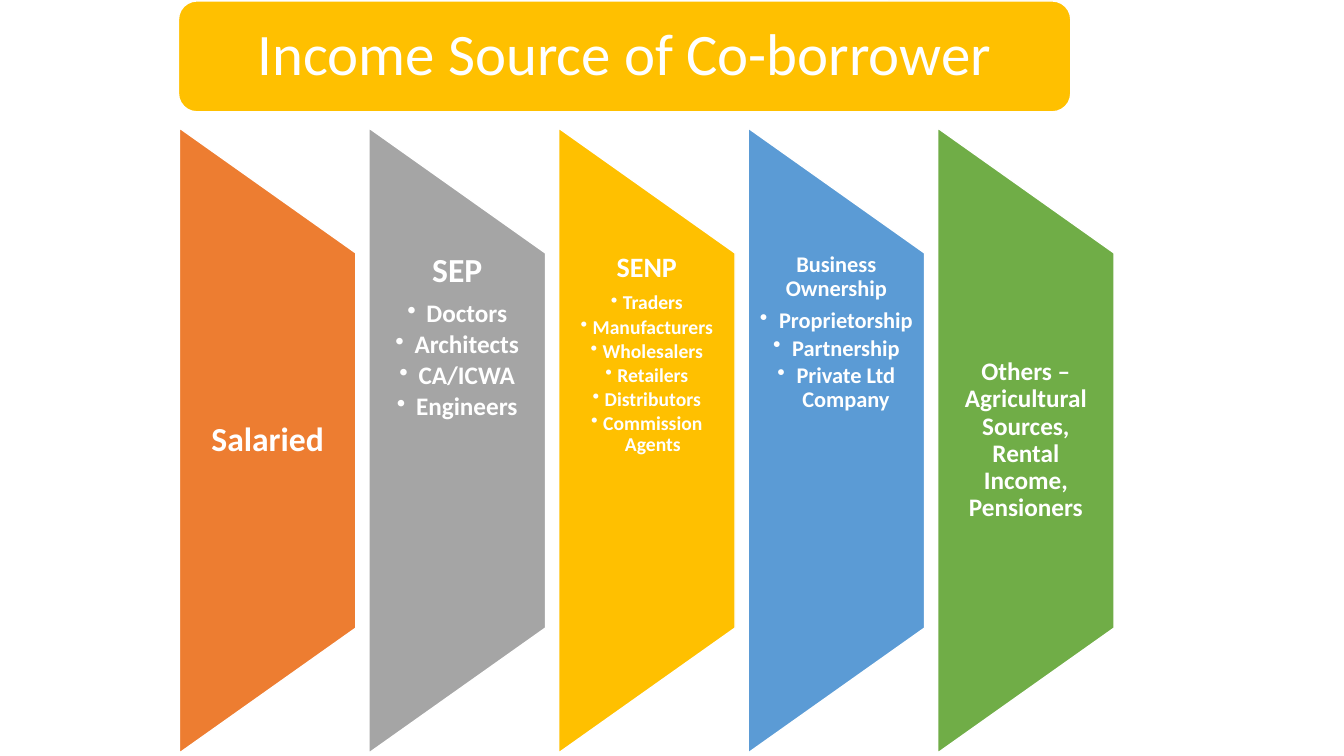
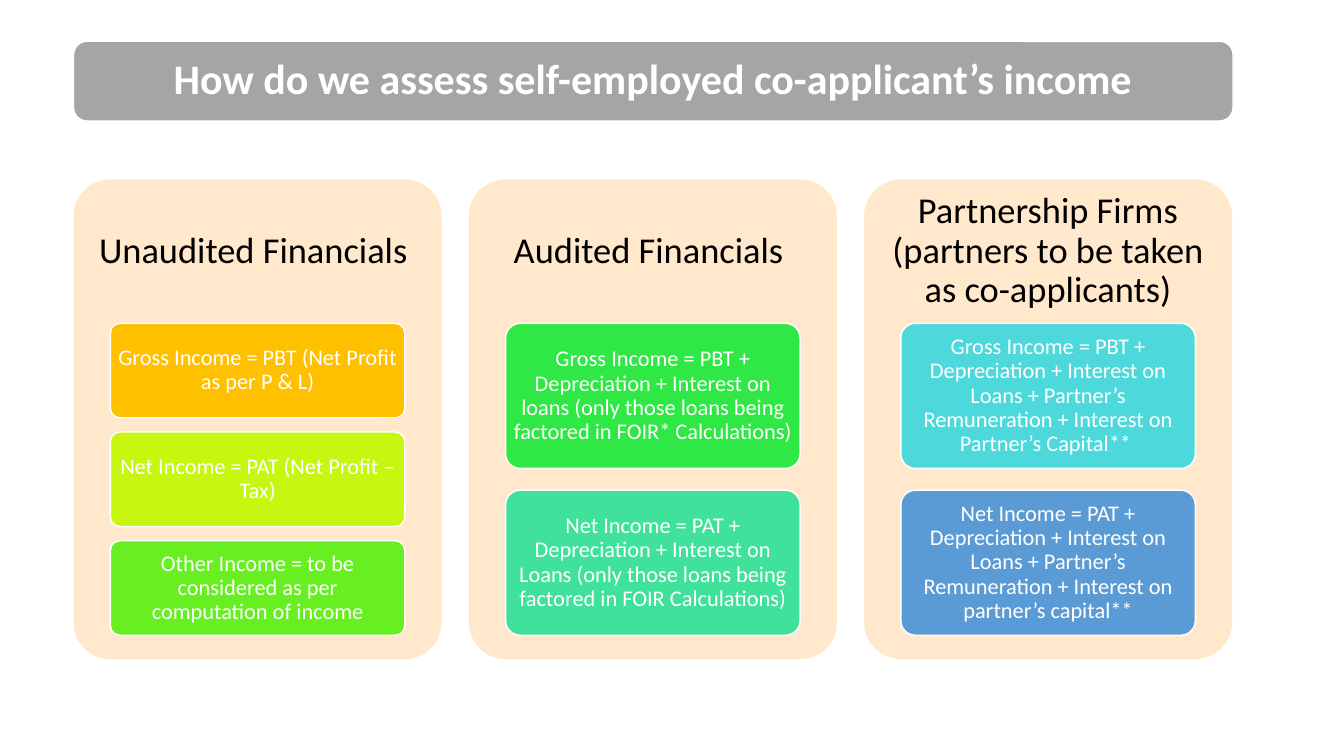
"""Builds two slides on co-borrower income: its sources and its assessment."""
from pptx import Presentation
from pptx.dml.color import RGBColor
from pptx.enum.shapes import MSO_SHAPE as SHAPE
from pptx.enum.text import MSO_ANCHOR as ANCHOR, PP_ALIGN as ALIGN
from pptx.oxml.ns import qn
from pptx.util import Inches, Pt
from lxml.etree import SubElement

FONT = "Calibri"
WHITE = RGBColor(0xFF, 0xFF, 0xFF)
BLACK = RGBColor(0x00, 0x00, 0x00)
ORANGE = RGBColor(0xED, 0x7D, 0x31)
GRAY = RGBColor(0xA5, 0xA5, 0xA5)
GOLD = RGBColor(0xFF, 0xC0, 0x00)
BLUE = RGBColor(0x5B, 0x9B, 0xD5)
GREEN = RGBColor(0x70, 0xAD, 0x47)
CREAM = RGBColor(0xFF, 0xE8, 0xCC)
LIME = RGBColor(0xC7, 0xF7, 0x11)
LEAF = RGBColor(0x67, 0xEF, 0x21)
EMERALD = RGBColor(0x30, 0xE8, 0x45)
MINT = RGBColor(0x3F, 0xE1, 0x9B)
AQUA = RGBColor(0x4D, 0xD8, 0xDB)


def draw(slide, preset, left, top, width, height, fill, outlined=True, rounding=None):
    shape = slide.shapes.add_shape(
        preset, Inches(left), Inches(top), Inches(width), Inches(height))
    shape.shadow.inherit = False
    shape.fill.solid()
    shape.fill.fore_color.rgb = fill
    if outlined:
        shape.line.color.rgb = WHITE
        shape.line.width = Pt(1)
    else:
        shape.line.fill.background()
    if rounding:
        shape.adjustments[0] = rounding
    return shape


def write(shape, text, size, color=WHITE, bold=False, anchor=ANCHOR.MIDDLE,
          margins=(0, 0, 0, 0), items=(), item_size=None, indent=0.19):
    frame = shape.text_frame
    frame.word_wrap = True
    frame.vertical_anchor = anchor
    (frame.margin_left, frame.margin_top,
     frame.margin_right, frame.margin_bottom) = map(Inches, margins)
    for index, line in enumerate([text, *items]):
        paragraph = frame.add_paragraph() if index else frame.paragraphs[0]
        points = item_size if index else size
        if index:
            paragraph.level = 1
            properties = paragraph._p.get_or_add_pPr()
            properties.set("marL", str(Inches(indent)))
            properties.set("indent", str(-Inches(indent)))
            SubElement(properties, qn("a:buChar")).set("char", "•")
        paragraph.alignment = ALIGN.CENTER
        paragraph.line_spacing = 0.9
        paragraph.space_after = Pt(points * (0.15 if index else 0.35))
        run = paragraph.add_run()
        run.text = line
        run.font.name = FONT
        run.font.size = Pt(points)
        run.font.bold = bold
        run.font.color.rgb = color


deck = Presentation()
deck.slide_width, deck.slide_height = Inches(13.33), Inches(7.5)
blank = deck.slide_layouts[6]

sources = deck.slides.add_slide(blank)
banner = draw(sources, SHAPE.ROUNDED_RECTANGLE, 1.77, 0.01, 8.85, 1.1, GOLD)
write(banner, "Income Source of Co-borrower", 42, margins=(0.17,) * 4)

BLADE_LEFT, BLADE_TOP, BLADE_WIDTH, BLADE_HEIGHT = 1.78, 1.27, 1.75, 6.2
BLADE_PITCH = 1.88
blades = [
    (ORANGE, "Salaried", 24, 0.17, (), None, 0.19),
    (GRAY, "SEP", 24, 0.17,
     ("Doctors", "Architects", "CA/ICWA", "Engineers"), 18, 0.19),
    (GOLD, "SENP", 20, 0.14,
     ("Traders", "Manufacturers", "Wholesalers", "Retailers", "Distributors",
      "Commission Agents"), 14, 0.12),
    (BLUE, "Business Ownership", 16, 0.11,
     ("Proprietorship", "Partnership", "Private Ltd Company"), 16, 0.19),
    (GREEN, "Others – Agricultural Sources, Rental Income, Pensioners",
     18, 0.12, (), None, 0.19),
]
for column, (fill, heading, size, margin, items, item_size, indent) in enumerate(blades):
    left = BLADE_LEFT + column * BLADE_PITCH
    turn = (BLADE_HEIGHT - BLADE_WIDTH) / 2
    blade = draw(sources, SHAPE.FLOWCHART_MANUAL_OPERATION, left - turn,
                 BLADE_TOP + turn, BLADE_HEIGHT, BLADE_WIDTH, fill)
    blade.rotation = 270
    caption = sources.shapes.add_textbox(
        Inches(left), Inches(BLADE_TOP + BLADE_HEIGHT / 5),
        Inches(BLADE_WIDTH), Inches(BLADE_HEIGHT * 3 / 5))
    write(caption, heading, size, bold=True, margins=(margin, 0, margin, 0),
          anchor=ANCHOR.TOP if items else ANCHOR.MIDDLE,
          items=items, item_size=item_size, indent=indent)

assessment = deck.slides.add_slide(blank)
banner = draw(assessment, SHAPE.ROUNDED_RECTANGLE, 0.73, 0.41, 11.5, 0.79, GRAY)
write(banner, "How do we assess self-employed co-applicant’s income", 30,
      bold=True, margins=(0.12,) * 4)

PANEL_LEFT, PANEL_TOP, PANEL_WIDTH, PANEL_HEIGHT = 0.73, 1.78, 3.65, 4.76
PANEL_PITCH = 3.92
GAP_SHARE = 0.15
panels = [
    ("Unaudited Financials ", [
        (GOLD, "Gross Income = PBT (Net Profit as per P & L)"),
        (LIME, "Net Income = PAT (Net Profit – Tax)"),
        (LEAF, "Other Income = to be considered as per computation of income"),
    ]),
    ("Audited Financials ", [
        (EMERALD, "Gross Income = PBT + Depreciation + Interest on loans "
                  "(only those loans being factored in FOIR* Calculations)"),
        (MINT, "Net Income = PAT + Depreciation + Interest on Loans "
               "(only those loans being factored in FOIR Calculations)"),
    ]),
    ("Partnership Firms (partners to be taken as co-applicants)", [
        (AQUA, "Gross Income = PBT + Depreciation + Interest on Loans + "
               "Partner’s Remuneration + Interest on Partner’s Capital** "),
        (BLUE, "Net Income = PAT + Depreciation + Interest on Loans + "
               "Partner’s Remuneration + Interest on partner’s capital**"),
    ]),
]
for column, (heading, formulas) in enumerate(panels):
    left = PANEL_LEFT + column * PANEL_PITCH
    panel = draw(assessment, SHAPE.ROUNDED_RECTANGLE, left, PANEL_TOP,
                 PANEL_WIDTH, PANEL_HEIGHT, CREAM, outlined=False, rounding=0.1)
    write(panel, heading, 26, color=BLACK, margins=(0, 0, 0, PANEL_HEIGHT * 0.7))
    count = len(formulas)
    height = PANEL_HEIGHT * 0.65 / (count + GAP_SHARE * (count - 1))
    for row, (fill, formula) in enumerate(formulas):
        top = PANEL_TOP + PANEL_HEIGHT * 0.3 + row * height * (1 + GAP_SHARE)
        card = draw(assessment, SHAPE.ROUNDED_RECTANGLE, left + PANEL_WIDTH * 0.1,
                    top, PANEL_WIDTH * 0.8, height, fill, rounding=0.1)
        write(card, formula, 16, margins=(0.04, 0.03, 0.04, 0.03))

deck.save("out.pptx")
